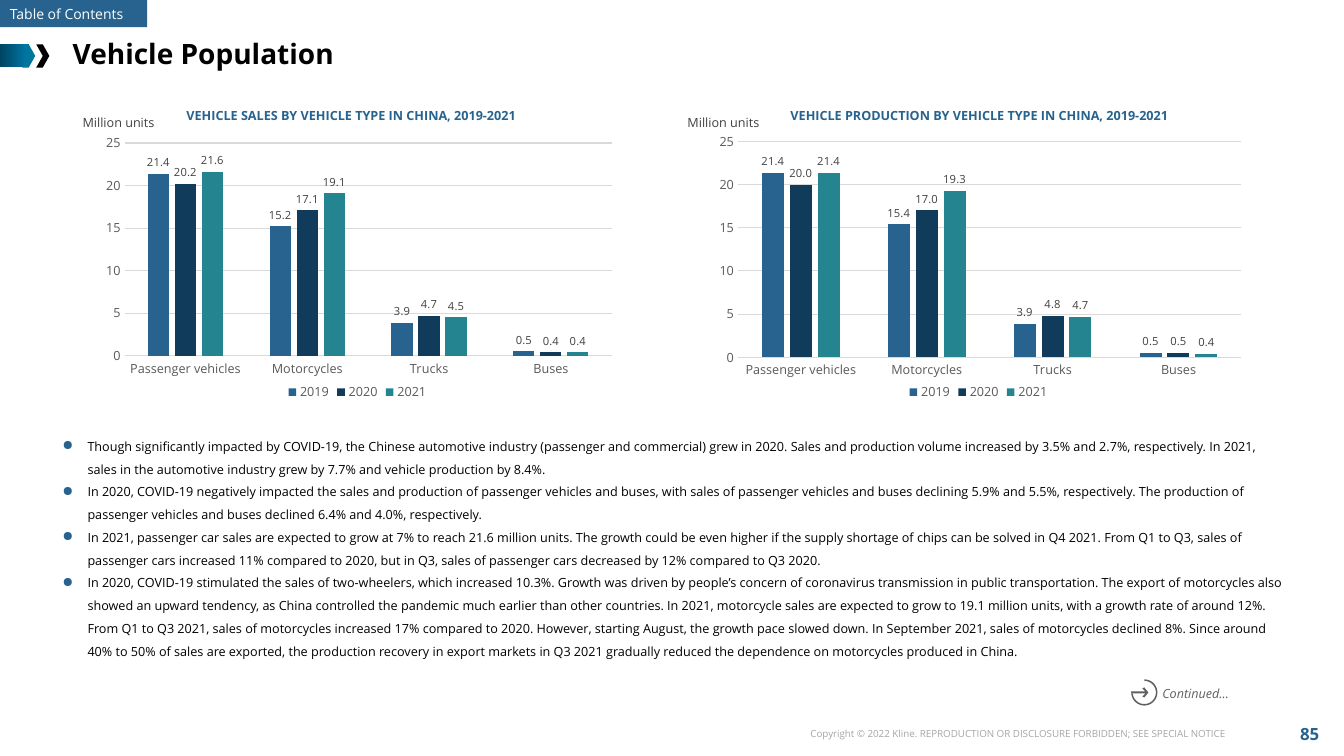
import math
from lxml import etree
from pptx import Presentation
from pptx.chart.data import CategoryChartData
from pptx.dml.color import RGBColor
from pptx.enum.chart import XL_CHART_TYPE, XL_LABEL_POSITION, XL_LEGEND_POSITION, XL_TICK_MARK
from pptx.enum.shapes import MSO_SHAPE
from pptx.enum.text import MSO_ANCHOR, PP_ALIGN
from pptx.oxml.ns import qn
from pptx.util import Inches, Pt

COLUMN = XL_CHART_TYPE.COLUMN_CLUSTERED
OUTSIDE_END = XL_LABEL_POSITION.OUTSIDE_END
BOTTOM = XL_LEGEND_POSITION.BOTTOM
NO_TICK = XL_TICK_MARK.NONE
RECTANGLE, CHEVRON = MSO_SHAPE.RECTANGLE, MSO_SHAPE.CHEVRON
TOP, MIDDLE = MSO_ANCHOR.TOP, MSO_ANCHOR.MIDDLE
LEFT, CENTER, RIGHT = PP_ALIGN.LEFT, PP_ALIGN.CENTER, PP_ALIGN.RIGHT

FONT = "Open Sans"
COLORS = {
    "blue": "27638E", "navy": "113B5A", "teal": "248591", "black": "000000", "white": "FFFFFF",
    "axis": "595959", "label": "404040", "grid": "D9D9D9", "copyright": "A6A6A6",
    "continued": "606060", "band start": "004461", "band end": "007BAA", "chevron": "00759E",
}
TITLE = "Vehicle Population"
VEHICLE_TYPES = ["Passenger vehicles", "Motorcycles", "Trucks", "Buses"]
YEAR_COLORS = {"2019": "blue", "2020": "navy", "2021": "teal"}
# "plot" holds x, y, width and height and "title at" x and y, as shares of the chart
CHARTS = [
    {"title": "VEHICLE SALES BY VEHICLE TYPE IN CHINA, 2019-2021",
     "box": (0.86, 0.96, 5.37, 3.06), "unit left": 0.72,
     "title at": (0.18, 0.02), "plot": (0.07, 0.15, 0.9, 0.69),
     "values": [(21.4, 15.2, 3.9, 0.5), (20.2, 17.1, 4.7, 0.4), (21.6, 19.1, 4.5, 0.4)]},
    {"title": "VEHICLE PRODUCTION BY VEHICLE TYPE IN CHINA, 2019-2021",
     "box": (6.93, 0.96, 5.55, 3.06), "unit left": 6.72,
     "title at": (0.16, 0.02), "plot": (0.07, 0.145, 0.9, 0.7),
     "values": [(21.4, 15.4, 3.9, 0.5), (20.0, 17.0, 4.8, 0.5), (21.4, 19.3, 4.7, 0.4)]},
]
BULLETS = [
    "Though significantly impacted by COVID-19, the Chinese automotive industry (passenger and "
    "commercial) grew in 2020. Sales and production volume increased by 3.5% and 2.7%, respectively. "
    "In 2021, sales in the automotive industry grew by 7.7% and vehicle production by 8.4%.",
    "In 2020, COVID-19 negatively impacted the sales and production of passenger vehicles and buses, "
    "with sales of passenger vehicles and buses declining 5.9% and 5.5%, respectively. The production "
    "of passenger vehicles and buses declined 6.4% and 4.0%, respectively.",
    "In 2021, passenger car sales are expected to grow at 7% to reach 21.6 million units. The growth "
    "could be even higher if the supply shortage of chips can be solved in Q4 2021. From Q1 to Q3, "
    "sales of passenger cars increased 11% compared to 2020, but in Q3, sales of passenger cars "
    "decreased by 12% compared to Q3 2020.",
    "In 2020, COVID-19 stimulated the sales of two-wheelers, which increased 10.3%. Growth was driven "
    "by people’s concern of coronavirus transmission in public transportation. The export of "
    "motorcycles also showed an upward tendency, as China controlled the pandemic much earlier than "
    "other countries. In 2021, motorcycle sales are expected to grow to 19.1 million units, with a "
    "growth rate of around 12%. From Q1 to Q3 2021, sales of motorcycles increased 17% compared to "
    "2020. However, starting August, the growth pace slowed down. In September 2021, sales of "
    "motorcycles declined 8%. Since around 40% to 50% of sales are exported, the production recovery "
    "in export markets in Q3 2021 gradually reduced the dependence on motorcycles produced in China.",
]
ARROW = [(-0.12, 0.01), (0.01, 0.01), (-0.02, 0.04), (0, 0.05), (0.04, 0),
         (0, -0.05), (-0.02, -0.04), (0.01, -0.01), (-0.13, -0.01)]


def rgb(name):
    return RGBColor.from_string(COLORS[name])


def style(font, size, color, bold=False, italic=False):
    font.name, font.size, font.bold, font.italic = FONT, Pt(size), bold, italic
    font.color.rgb = rgb(color)


def add_run(paragraph, text, *look, **flags):
    run = paragraph.add_run()
    run.text = text
    style(run.font, *look, **flags)


def add_text(slide, box, text, size, color, align=LEFT, anchor=TOP, wrap=True, **flags):
    frame = slide.shapes.add_textbox(*map(Inches, box)).text_frame
    frame.word_wrap, frame.vertical_anchor = wrap, anchor
    frame.paragraphs[0].alignment = align
    add_run(frame.paragraphs[0], text, size, color, **flags)


def plain(shape, color):
    shape.shadow.inherit = False
    shape.line.fill.background()
    shape.fill.solid()
    shape.fill.fore_color.rgb = rgb(color)
    return shape


def add_block(slide, kind, box, color):
    return plain(slide.shapes.add_shape(kind, *map(Inches, box)), color)


def set_layout(element, position, values, inner=False):
    """Place a chart part by shares of the chart's size."""
    layout = element.find(qn("c:layout"))
    if layout is None:
        layout = etree.Element(qn("c:layout"))
        element.insert(position, layout)
    manual = etree.SubElement(layout, qn("c:manualLayout"))
    settings = [("layoutTarget", "inner")] if inner else []
    settings += [("xMode", "edge"), ("yMode", "edge")] + list(zip("xywh", values))
    for tag, value in settings:
        etree.SubElement(manual, qn("c:" + tag)).set("val", str(value))


def add_column_chart(slide, content):
    data = CategoryChartData(number_format="0.0")
    data.categories = VEHICLE_TYPES
    for year, values in zip(YEAR_COLORS, content["values"]):
        data.add_series(year, values)
    chart = slide.shapes.add_chart(COLUMN, *map(Inches, content["box"]), data).chart
    style(chart.font, 10, "black")

    chart.has_title = True
    add_run(chart.chart_title.text_frame.paragraphs[0], content["title"], 9, "blue", bold=True)
    set_layout(chart.chart_title._element, 1, content["title at"])
    set_layout(chart._chartSpace.chart.plotArea, 0, content["plot"], inner=True)

    chart.has_legend = True
    chart.legend.position, chart.legend.include_in_layout = BOTTOM, False
    style(chart.legend.font, 9, "axis")

    for axis in (chart.category_axis, chart.value_axis):
        axis.major_tick_mark = axis.minor_tick_mark = NO_TICK
        style(axis.tick_labels.font, 9, "axis")
    value_axis = chart.value_axis
    value_axis.minimum_scale, value_axis.maximum_scale, value_axis.major_unit = 0, 25, 5
    value_axis.tick_labels.number_format = "0"
    value_axis.tick_labels.number_format_is_linked = False
    value_axis.format.line.fill.background()
    for line in (value_axis.major_gridlines.format.line, chart.category_axis.format.line):
        line.color.rgb, line.width = rgb("grid"), Pt(0.75)

    plot = chart.plots[0]
    plot.gap_width, plot.overlap, plot.vary_by_categories = 219, -27, False
    for series, color in zip(plot.series, YEAR_COLORS.values()):
        series.format.fill.solid()
        series.format.fill.fore_color.rgb = rgb(color)
        labels = series.data_labels
        labels.show_value, labels.position = True, OUTSIDE_END
        labels.number_format, labels.number_format_is_linked = "#,##0.0", False
        style(labels.font, 8, "label")


def add_bullets(slide):
    frame = slide.shapes.add_textbox(*map(Inches, (0.52, 4.23, 12.3, 2.57))).text_frame
    frame.word_wrap = True
    for index, text in enumerate(BULLETS):
        paragraph = frame.add_paragraph() if index else frame.paragraphs[0]
        properties = paragraph._p.get_or_add_pPr()
        properties.set("marL", str(Inches(0.25)))
        properties.set("indent", str(Inches(-0.25)))
        bullet_color = etree.SubElement(properties, qn("a:buClr"))
        etree.SubElement(bullet_color, qn("a:srgbClr")).set("val", COLORS["blue"])
        etree.SubElement(properties, qn("a:buSzPct")).set("val", "110000")
        etree.SubElement(properties, qn("a:buChar")).set("char", "●")
        paragraph.line_spacing = 1.5
        add_run(paragraph, text, 9, "black")


def add_continued_icon(slide, center_x, center_y):
    """Draw a three-quarter ring with an arrow pointing to its middle."""
    angles = [math.radians(angle) for angle in range(180, -91, -10)]
    ring = [(0.13 * math.cos(a), 0.13 * math.sin(a)) for a in angles]
    ring += [(0.115 * math.cos(a), 0.115 * math.sin(a)) for a in reversed(angles[1:])]
    points = [(Inches(center_x + x), Inches(center_y + y)) for x, y in ring + ARROW]
    builder = slide.shapes.build_freeform(*points[0])
    builder.add_line_segments(points[1:], close=True)
    plain(builder.convert_to_shape(), "continued")


def main():
    presentation = Presentation()
    presentation.slide_width, presentation.slide_height = Inches(13.33), Inches(7.5)
    slide = presentation.slides.add_slide(presentation.slide_layouts[5])

    title = slide.shapes.title
    title.left, title.top, title.width, title.height = map(Inches, (0.62, 0.31, 12, 0.44))
    title.text_frame.vertical_anchor = MIDDLE
    title.text_frame.paragraphs[0].alignment = LEFT
    add_run(title.text_frame.paragraphs[0], TITLE, 20, "black", bold=True)

    band = add_block(slide, RECTANGLE, (0, 0.44, 0.29, 0.23), "band start")
    band.fill.gradient()
    band.fill.gradient_angle = 0
    for stop, color in zip(band.fill.gradient_stops, ("band start", "band end")):
        stop.color.rgb = rgb(color)
    for left, color in ((0.22, "chevron"), (0.36, "black")):
        add_block(slide, CHEVRON, (left, 0.44, 0.13, 0.23), color)
    contents_tab = add_block(slide, RECTANGLE, (0, 0, 1.46, 0.27), "blue").text_frame
    contents_tab.word_wrap = False
    contents_tab.paragraphs[0].alignment = LEFT
    add_run(contents_tab.paragraphs[0], "Table of Contents", 10, "white")

    for content in CHARTS:
        add_column_chart(slide, content)
        add_text(slide, (content["unit left"], 1.09, 1.09, 0.25), "Million units", 9, "label")
    add_bullets(slide)

    add_continued_icon(slide, 11.35, 6.87)
    add_text(slide, (11.43, 6.74, 0.98, 0.27), "Continued…", 9, "continued", anchor=MIDDLE, italic=True)
    add_text(slide, (7.71, 7.17, 4.54, 0.22),
             "Copyright © 2022 Kline. REPRODUCTION OR DISCLOSURE FORBIDDEN; SEE SPECIAL NOTICE",
             7, "copyright", align=RIGHT, wrap=False)
    add_text(slide, (12.68, 7.07, 0.62, 0.43), "85", 12, "blue", align=CENTER, anchor=MIDDLE, bold=True)
    presentation.save("out.pptx")


if __name__ == "__main__":
    main()
